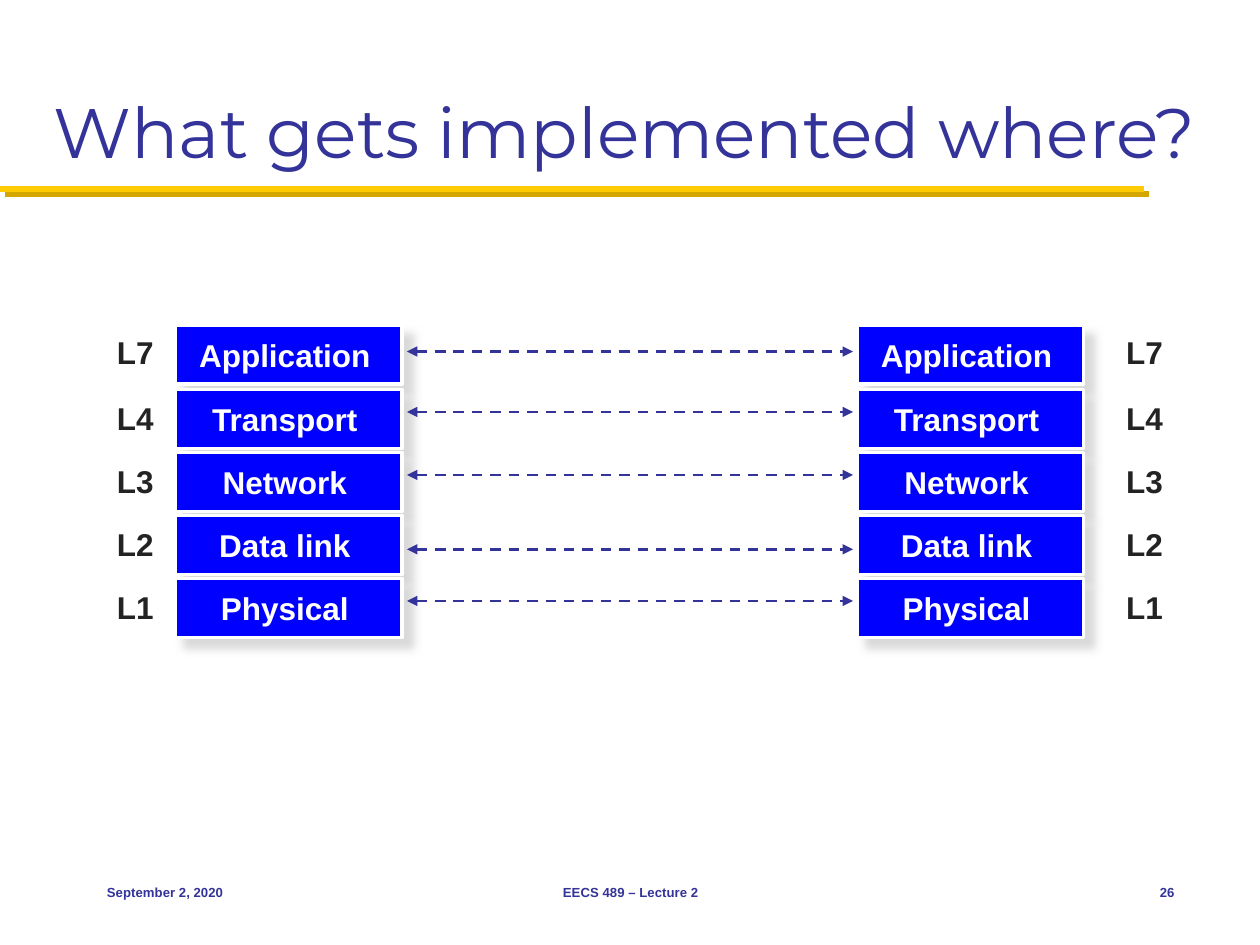
from lxml import etree
from pptx import Presentation
from pptx import util as u
from pptx.dml.color import RGBColor
from pptx.enum import dml, shapes, text
from pptx.oxml import ns

COLORS = {
    "ink": "333399", "gold": "FFCB05", "gold_shadow": "D3A600",
    "layer": "0000FF", "layer_shadow": "CECECE",
    "white": "FFFFFF", "level": "232323",
}
# layer name, level, box top, level top, arrow height, label width
LAYERS = [
    ("Application", "L7", 2.58, 2.59, 2.79, 1.69),
    ("Transport", "L4", 3.09, 3.12, 3.27, 1.45),
    ("Network", "L3", 3.59, 3.62, 3.77, 1.27),
    ("Data link", "L2", 4.09, 4.12, 4.36, 1.33),
    ("Physical", "L1", 4.59, 4.62, 4.77, 1.3),
]
BOX_WIDTH, BOX_HEIGHT, LABEL_HEIGHT = 1.8, 0.47, 0.39
STACKS = [(1.39, 0.83), (6.8, 8.84)]  # box left, level left
ARROW_LEFT, ARROW_RIGHT = 3.23, 6.77
LEFT, CENTER, RIGHT = text.PP_ALIGN.LEFT, text.PP_ALIGN.CENTER, text.PP_ALIGN.RIGHT
TOP, MIDDLE, BOTTOM = text.MSO_ANCHOR.TOP, text.MSO_ANCHOR.MIDDLE, text.MSO_ANCHOR.BOTTOM


def rgb(name):
    return RGBColor.from_string(COLORS[name])


def set_effects(shape, color=None, alpha=100, blur=0, distance=0):
    """Give the shape a shadow to the lower right, or none without a color."""
    properties = shape._element.spPr
    effects = etree.SubElement(properties, ns.qn("a:effectLst"))
    if color:
        shadow = etree.SubElement(
            effects, ns.qn("a:outerShdw"), blurRad=str(u.Pt(blur)),
            dist=str(u.Pt(distance)), dir=str(45 * 60000),
            algn="ctr", rotWithShape="0")
        fill = etree.SubElement(shadow, ns.qn("a:srgbClr"), val=COLORS[color])
        etree.SubElement(fill, ns.qn("a:alpha"), val=str(alpha * 1000))


def write(shape, words, size, color, align=LEFT, anchor=TOP, font="Arial",
          bold=True, wrap=False, insets=(0.1, 0.05, 0.1, 0.05)):
    frame = shape.text_frame
    frame.word_wrap = wrap
    frame.vertical_anchor = anchor
    (frame.margin_left, frame.margin_top,
     frame.margin_right, frame.margin_bottom) = map(u.Inches, insets)
    para = frame.paragraphs[0]
    para.alignment = align
    span = para.add_run()
    span.text = words
    span.font.name = font
    span.font.size = u.Pt(size)
    span.font.bold = bold
    span.font.color.rgb = rgb(color)


def add_text(page, place, words, size, **style):
    box = page.shapes.add_textbox(*map(u.Inches, place))
    write(box, words, size, "ink", wrap=True, **style)


def add_rectangle(parent, place, fill, outline=None):
    box = parent.shapes.add_shape(
        shapes.MSO_SHAPE.RECTANGLE, *map(u.Inches, place))
    box.fill.solid()
    box.fill.fore_color.rgb = rgb(fill)
    if outline:
        box.line.color.rgb = rgb(outline)
        box.line.width = u.Pt(2)
    else:
        box.line.fill.background()
    return box


def add_layer(page, left, top, label_width, name):
    group = page.shapes.add_group_shape()
    box = add_rectangle(group, (left, top, BOX_WIDTH, BOX_HEIGHT), "layer", "white")
    set_effects(box, "layer_shadow", alpha=75, blur=5, distance=8)
    label_left = left + (BOX_WIDTH - label_width) / 2
    label_top = top + (BOX_HEIGHT - LABEL_HEIGHT) / 2
    label = add_rectangle(
        group, (label_left, label_top, label_width, LABEL_HEIGHT), "layer")
    set_effects(label)
    write(label, name, 18, "white", CENTER, MIDDLE, insets=(0.04, 0.04, 0.1, 0.04))


def add_level(page, left, top, name):
    box = add_rectangle(page, (left, top, 0.5, 0.4), "white")
    set_effects(box)
    write(box, name, 18, "level")


def add_line(page, start, end, color, width):
    line = page.shapes.add_connector(
        shapes.MSO_CONNECTOR.STRAIGHT, *map(u.Inches, (*start, *end)))
    line.line.color.rgb = rgb(color)
    line.line.width = u.Pt(width)
    return line


def add_peer_arrow(page, height):
    arrow = add_line(page, (ARROW_LEFT, height), (ARROW_RIGHT, height), "ink", 1.5)
    arrow.line.dash_style = dml.MSO_LINE.DASH
    outline = arrow.line._get_or_add_ln()
    for tag in ("a:headEnd", "a:tailEnd"):
        etree.SubElement(outline, ns.qn(tag), type="triangle")
    set_effects(arrow)


def main():
    deck = Presentation()
    deck.slide_width, deck.slide_height = u.Inches(10), u.Inches(7.5)
    page = deck.slides.add_slide(deck.slide_layouts[6])

    rule = add_line(page, (0, 1.5), (9.08, 1.5), "gold", 3.5)
    set_effects(rule, "gold_shadow", distance=4.2)
    add_text(page, (0.33, 0.17, 9.33, 1.25), "What gets implemented where?", 40,
             font="Montserrat", bold=False, anchor=BOTTOM)
    for left, width, words, align in [
        (0.75, 2.08, "September 2, 2020", LEFT),
        (3.42, 3.17, "EECS 489 – Lecture 2", CENTER),
        (8.75, 0.67, "26", RIGHT),
    ]:
        add_text(page, (left, 6.83, width, 0.5), words, 7.5,
                 align=align, anchor=MIDDLE)

    for name, level, top, level_top, arrow_height, label_width in LAYERS:
        for box_left, level_left in STACKS:
            add_layer(page, box_left, top, label_width, name)
            add_level(page, level_left, level_top, level)
        add_peer_arrow(page, arrow_height)

    deck.save("out.pptx")


if __name__ == "__main__":
    main()
